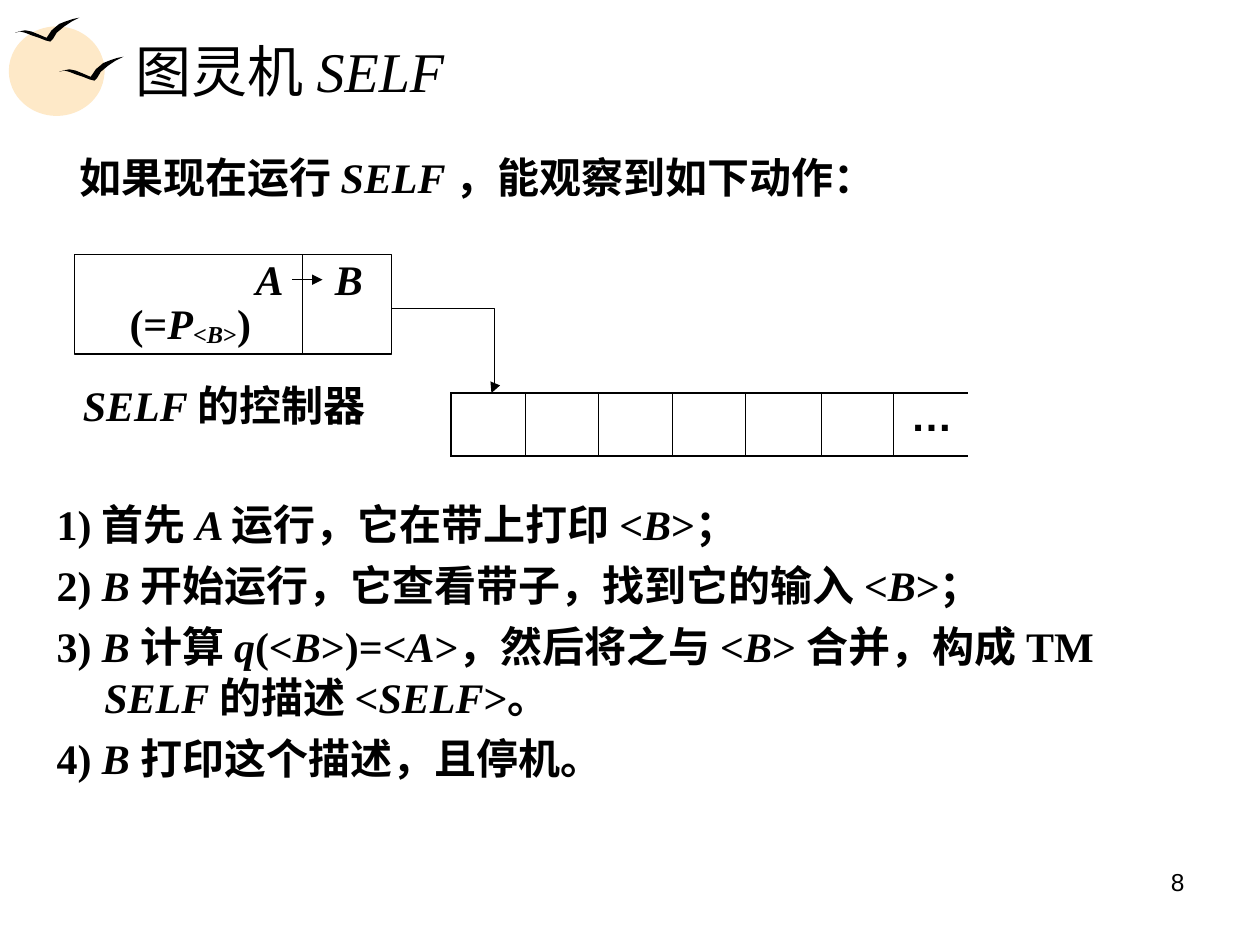
from pptx import Presentation
from pptx.dml.color import RGBColor
from pptx.enum.shapes import MSO_CONNECTOR as Connector, MSO_SHAPE as Shape
from pptx.enum.text import MSO_ANCHOR as Anchor, MSO_AUTO_SIZE as AutoSize, PP_ALIGN as Align
from pptx.oxml.ns import qn
from pptx.util import Inches, Pt
from lxml.etree import SubElement

BLACK = "000000"
SUN = "FEE9C8"


def color(hex_value):
    return RGBColor.from_string(hex_value)


def add_text(left, top, width, height, lines, size=24, font="Times New Roman", bold=True, wrap=False):
    """Add a text box; asterisks switch italics on and off."""
    box = slide.shapes.add_textbox(Inches(left), Inches(top), Inches(width), Inches(height))
    frame = box.text_frame
    frame.word_wrap = wrap
    frame.auto_size = AutoSize.NONE if wrap else AutoSize.SHAPE_TO_FIT_TEXT
    for number, line in enumerate(lines):
        para = frame.paragraphs[0] if number == 0 else frame.add_paragraph()
        for part, text in enumerate(line.split("*")):
            if not text:
                continue
            span = para.add_run()
            span.text = text
            span.font.name = font
            span.font.size = Pt(size)
            span.font.bold = bold
            span.font.italic = part % 2 == 1
            span.font.color.rgb = color(BLACK)
    return frame


deck = Presentation()
deck.slide_width = Inches(10)
deck.slide_height = Inches(7.5)
slide = deck.slides.add_slide(deck.slide_layouts[6])

# Sun
for left, top, width, height in [(0.07, 0.21, 0.76, 0.71), (0.2, 0.28, 0.63, 0.55)]:
    sun = slide.shapes.add_shape(Shape.OVAL, Inches(left), Inches(top), Inches(width), Inches(height))
    sun.shadow.inherit = False
    sun.fill.solid()
    sun.fill.fore_color.rgb = color(SUN)
    sun.line.fill.background()

# Two birds with the same outline, relative to the bird's top left corner
bird_outline = [
    (0, 0.12), (0.03, 0.11), (0.08, 0.1), (0.13, 0.11), (0.18, 0.13), (0.25, 0.16),
    (0.29, 0.1), (0.35, 0.05), (0.4, 0.03), (0.46, 0.01), (0.51, 0), (0.45, 0.03),
    (0.39, 0.07), (0.33, 0.12), (0.3, 0.17), (0.28, 0.19), (0.24, 0.18), (0.19, 0.16),
    (0.13, 0.14), (0.08, 0.12), (0.04, 0.11),
]
for left, top in [(0.47, 0.45), (0.12, 0.14)]:
    points = [(Inches(left + x), Inches(top + y)) for x, y in bird_outline]
    builder = slide.shapes.build_freeform(*points[0])
    builder.add_line_segments(points[1:], close=True)
    bird = builder.convert_to_shape()
    bird.shadow.inherit = False
    bird.fill.solid()
    bird.fill.fore_color.rgb = color(BLACK)
    bird.line.fill.background()

# Title and introduction
title = add_text(0.98, 0.21, 8.53, 0.69, ["图灵机 *SELF*"], size=32, bold=False, wrap=True)
title.vertical_anchor = Anchor.MIDDLE
add_text(0.53, 1.15, 6.68, 0.5, ["如果现在运行 *SELF *，能观察到如下动作："])

# Control unit of SELF
control = slide.shapes.add_shape(Shape.RECTANGLE, Inches(0.59), Inches(2.02), Inches(2.52), Inches(0.79))
control.shadow.inherit = False
control.fill.background()
control.line.color.rgb = color(BLACK)
control.line.width = Pt(0.75)
add_text(2.56, 1.96, 0.42, 0.5, ["*B*"])
add_text(1.93, 1.96, 0.36, 0.5, ["*A*"])
printer = add_text(0.93, 2.31, 1.2, 0.51, ["(=*P*<*B*>**)"])
for span in printer.paragraphs[0].runs[2:5]:
    span.font._element.set("baseline", "-10000")
add_text(0.56, 2.96, 2.53, 0.5, ["*SELF *的控制器"])

# Divider, arrow from A to B, and read head on the tape
connectors = [
    (Connector.STRAIGHT, 2.4, 2.02, 2.4, 2.81, False),
    (Connector.STRAIGHT, 2.32, 2.22, 2.56, 2.22, True),
    (Connector.ELBOW, 3.11, 2.45, 3.9, 3.12, True),
]
for kind, x1, y1, x2, y2, has_head in connectors:
    link = slide.shapes.add_connector(kind, Inches(x1), Inches(y1), Inches(x2), Inches(y2))
    link.line.color.rgb = color(BLACK)
    link.line.width = Pt(0.75)
    properties = link._element.spPr
    if has_head:
        SubElement(properties.find(qn("a:ln")), qn("a:tailEnd"), type="triangle")
    if kind == Connector.ELBOW:
        geometry = properties.find(qn("a:prstGeom"))
        guides = geometry.find(qn("a:avLst"))
        if guides is None:
            guides = SubElement(geometry, qn("a:avLst"))
        SubElement(guides, qn("a:gd"), name="adj1", fmla="val 103000")
    SubElement(properties, qn("a:effectLst"))

# Tape, open at the right end
widths = [0.59, 0.58, 0.59, 0.58, 0.6, 0.57, 0.59]
tape = slide.shapes.add_table(1, len(widths), Inches(3.58), Inches(3.12), Inches(4.1), Inches(0.5)).table
tape.first_row = False
tape.horz_banding = False
last = len(widths) - 1
for column, width in enumerate(widths):
    tape.columns[column].width = Inches(width)
    cell = tape.cell(0, column)
    cell_properties = cell._tc.get_or_add_tcPr()
    borders = {
        "a:lnL": 1.08 if column == 0 else 0.45,
        "a:lnR": 0 if column == last else 0.45,
        "a:lnT": 1.08,
        "a:lnB": 1.08,
    }
    for tag, points in borders.items():
        border = SubElement(cell_properties, qn(tag), w=str(Pt(points)))
        if points:
            fill = SubElement(border, qn("a:solidFill"))
            SubElement(fill, qn("a:srgbClr"), val=BLACK)
        else:
            SubElement(border, qn("a:noFill"))
    cell.fill.background()
add_text(7.13, 3.04, 0.53, 0.5, ["…"], font="Arial")

# Steps with hanging indent
steps = add_text(0.35, 3.91, 9.29, 3.39, [
    "1) 首先 *A *运行，它在带上打印 <*B*>；",
    "2) *B *开始运行，它查看带子，找到它的输入 <*B*>；",
    "3) *B *计算 *q*(<*B*>)=<*A*>，然后将之与 <*B*> 合并，构成 TM *SELF *的描述 <*SELF*>。",
    "4) *B *打印这个描述，且停机。",
], wrap=True)
for para in steps.paragraphs:
    para.space_before = Pt(6)
    indent = para._p.get_or_add_pPr()
    indent.set("marL", str(Inches(0.38)))
    indent.set("indent", str(-Inches(0.38)))

# Page number
page = add_text(7.17, 6.83, 2.33, 0.52, ["8"], size=14, font="Arial", bold=False, wrap=True)
page.paragraphs[0].alignment = Align.RIGHT

deck.save("out.pptx")
